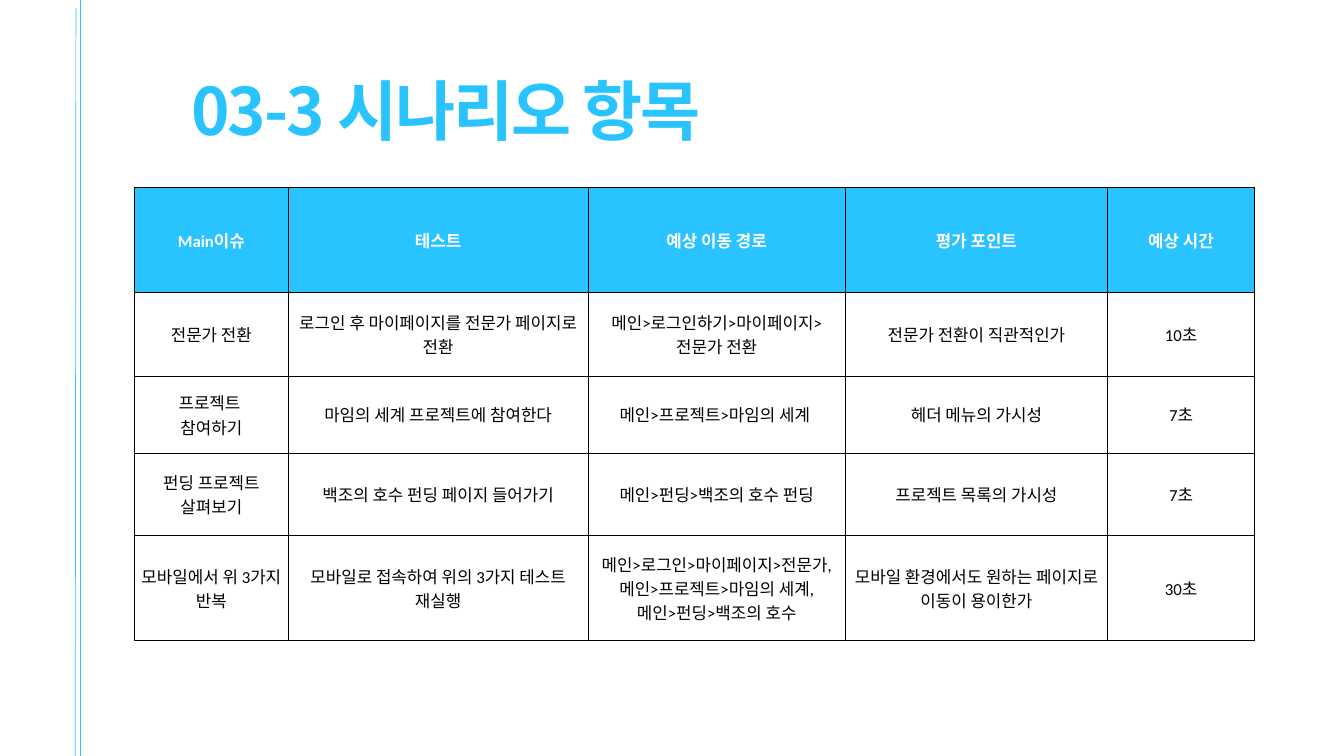
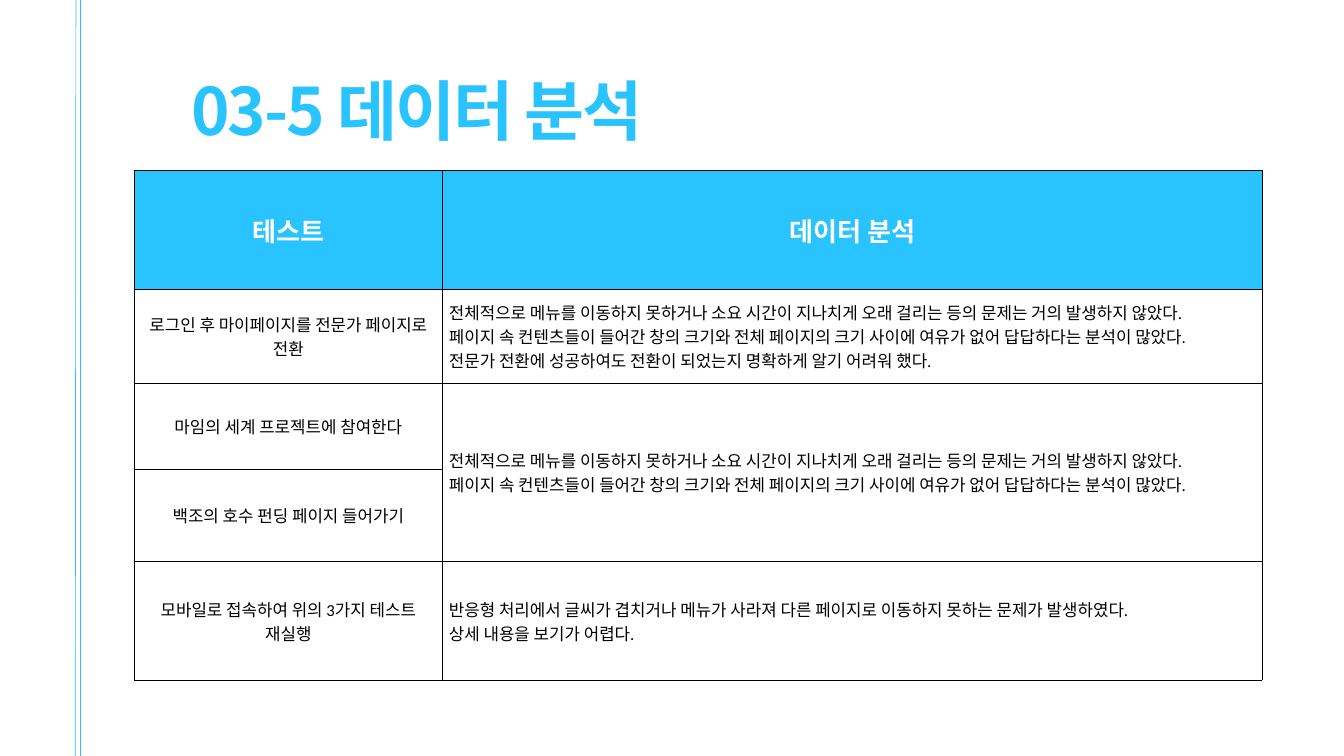
from lxml.etree import SubElement
from pptx import Presentation
from pptx.dml.color import RGBColor
from pptx.enum.shapes import MSO_CONNECTOR
from pptx.enum.text import MSO_ANCHOR, MSO_AUTO_SIZE, PP_ALIGN
from pptx.oxml.ns import qn
from pptx.util import Inches, Pt

SKY = RGBColor(0x29, 0xC3, 0xFF)
WHITE = RGBColor(0xFF, 0xFF, 0xFF)
BLACK = RGBColor(0, 0, 0)
HANGUL = "Noto Sans CJK KR"
LATIN = "Calibri"

# The grid has square cells, one inch a side
COLS, ROWS = 20, 11.25
CELL = Inches(1)

LOGIN = "로그인 후 마이페이지를 전문가 페이지로 전환"
MIME = "마임의 세계 프로젝트에 참여한다"
SWAN = "백조의 호수 펀딩 페이지 들어가기"
MOBILE = "모바일로 접속하여 위의 3가지 테스트 재실행"
COMMON = (
    "전체적으로 메뉴를 이동하지 못하거나 소요 시간이 지나치게 오래 걸리는 등의 문제는 거의 발생하지 않았다.\n"
    "페이지 속 컨텐츠들이 들어간 창의 크기와 전체 페이지의 크기 사이에 여유가 없어 답답하다는 분석이 많았다."
)

SCENES = [
    ["Main이슈", "테스트", "예상 이동 경로", "평가 포인트", "예상 시간"],
    ["전문가 전환", LOGIN, "메인>로그인하기>마이페이지>전문가 전환",
     "전문가 전환이 직관적인가", "10초"],
    ["프로젝트 \n참여하기", MIME, "메인>프로젝트>마임의 세계 ",
     "헤더 메뉴의 가시성", "7초"],
    ["펀딩 프로젝트\n살펴보기", SWAN, "메인>펀딩>백조의 호수 펀딩",
     "프로젝트 목록의 가시성", "7초"],
    ["모바일에서 위 3가지 반복", MOBILE,
     "메인>로그인>마이페이지>전문가,\n메인>프로젝트>마임의 세계,\n메인>펀딩>백조의 호수",
     "모바일 환경에서도 원하는 페이지로 이동이 용이한가", "30초"],
]

FINDINGS = [
    ["테스트", "데이터 분석"],
    [LOGIN, COMMON + "\n전문가 전환에 성공하여도 전환이 되었는지 명확하게 알기 어려워 했다."],
    [MIME, COMMON],
    [SWAN, ""],
    [MOBILE, "반응형 처리에서 글씨가 겹치거나 메뉴가 사라져 다른 페이지로 이동하지 못하는 문제가 발생하였다.\n"
             "상세 내용을 보기가 어렵다."],
]


def grid(*units):
    return [round(unit * CELL) for unit in units]


class Deck:
    def __init__(self):
        self.show = Presentation()
        self.show.slide_width, self.show.slide_height = grid(COLS, ROWS)
        self.slide = None

    def page(self, title, drop=0):
        """Start a slide; drop is where the outer margin line begins."""
        self.slide = self.show.slides.add_slide(self.show.slide_layouts[6])
        self.rule(1.12, ROWS, 1.13, drop)
        self.rule(1.19, ROWS, 1.19, 0)
        self.title(title)

    def rule(self, *ends):
        line = self.slide.shapes.add_connector(MSO_CONNECTOR.STRAIGHT, *grid(*ends))
        line.line.color.rgb = SKY
        line.line.width = Pt(0.75)
        SubElement(line._element.spPr, qn("a:effectLst"))

    def title(self, text):
        frame = self.slide.shapes.add_textbox(*grid(2.85, 0.46, 16, 1.56)).text_frame
        frame.margin_left = frame.margin_right = 0
        frame.margin_top = frame.margin_bottom = 0
        frame.word_wrap = True
        frame.auto_size = MSO_AUTO_SIZE.SHAPE_TO_FIT_TEXT
        frame.text = text
        frame.paragraphs[0].line_spacing = Pt(126)
        self.style(frame, HANGUL, 70, SKY, True)
        for run in frame.paragraphs[0].runs:
            run._r.get_or_add_rPr().set("spc", "-220")

    def style(self, frame, face, size, color, bold):
        for para in frame.paragraphs:
            for run in para.runs:
                font = run.font
                font.name, font.size, font.bold = face, Pt(size), bold
                font.color.rgb = color
                SubElement(run._r.get_or_add_rPr(), qn("a:ea"), typeface=HANGUL)

    def table(self, top, widths, heights, data, head=18, left=()):
        """Draw data below a coloured head row; left lists the left-aligned body columns."""
        table = self.slide.shapes.add_table(
            len(heights), len(widths), *grid(2, top, sum(widths), sum(heights))).table
        for col, width in zip(table.columns, grid(*widths)):
            col.width = width
        for row, height in zip(table.rows, grid(*heights)):
            row.height = height
        for r, texts in enumerate(data):
            for c, text in enumerate(texts):
                side = PP_ALIGN.LEFT if r and c in left else PP_ALIGN.CENTER
                self.cell(table.cell(r, c), text, side, r == 0, 18 if r else head)
        return table

    def cell(self, cell, text, side, top, size):
        self.frame(cell)
        cell.fill.solid()
        cell.fill.fore_color.rgb = SKY if top else WHITE
        cell.vertical_anchor = MSO_ANCHOR.MIDDLE
        cell.text_frame.text = text
        for para in cell.text_frame.paragraphs:
            para.alignment = side
        self.style(cell.text_frame, LATIN, size, WHITE if top else BLACK, top)

    def frame(self, cell):
        """Rule all four sides of a cell."""
        props = cell._tc.get_or_add_tcPr()
        for side in "LRTB":
            line = SubElement(props, qn(f"a:ln{side}"), w=str(Pt(1)))
            fill = SubElement(line, qn("a:solidFill"))
            SubElement(fill, qn("a:srgbClr"), val=str(BLACK))


def main():
    deck = Deck()

    deck.page("03-3 시나리오 항목", drop=0.12)
    deck.table(2.79, [2.29, 4.46, 3.83, 3.9, 2.19],
               [1.56, 1.25, 1.14, 1.23, 1.56], SCENES)

    deck.page("03-5 데이터 분석")
    table = deck.table(2.54, [4.58, 12.2], [1.76, 1.4, 1.28, 1.38, 1.76],
                       FINDINGS, head=28, left=[1])
    table.cell(2, 1).merge(table.cell(3, 1))

    deck.show.save("out.pptx")


if __name__ == "__main__":
    main()
